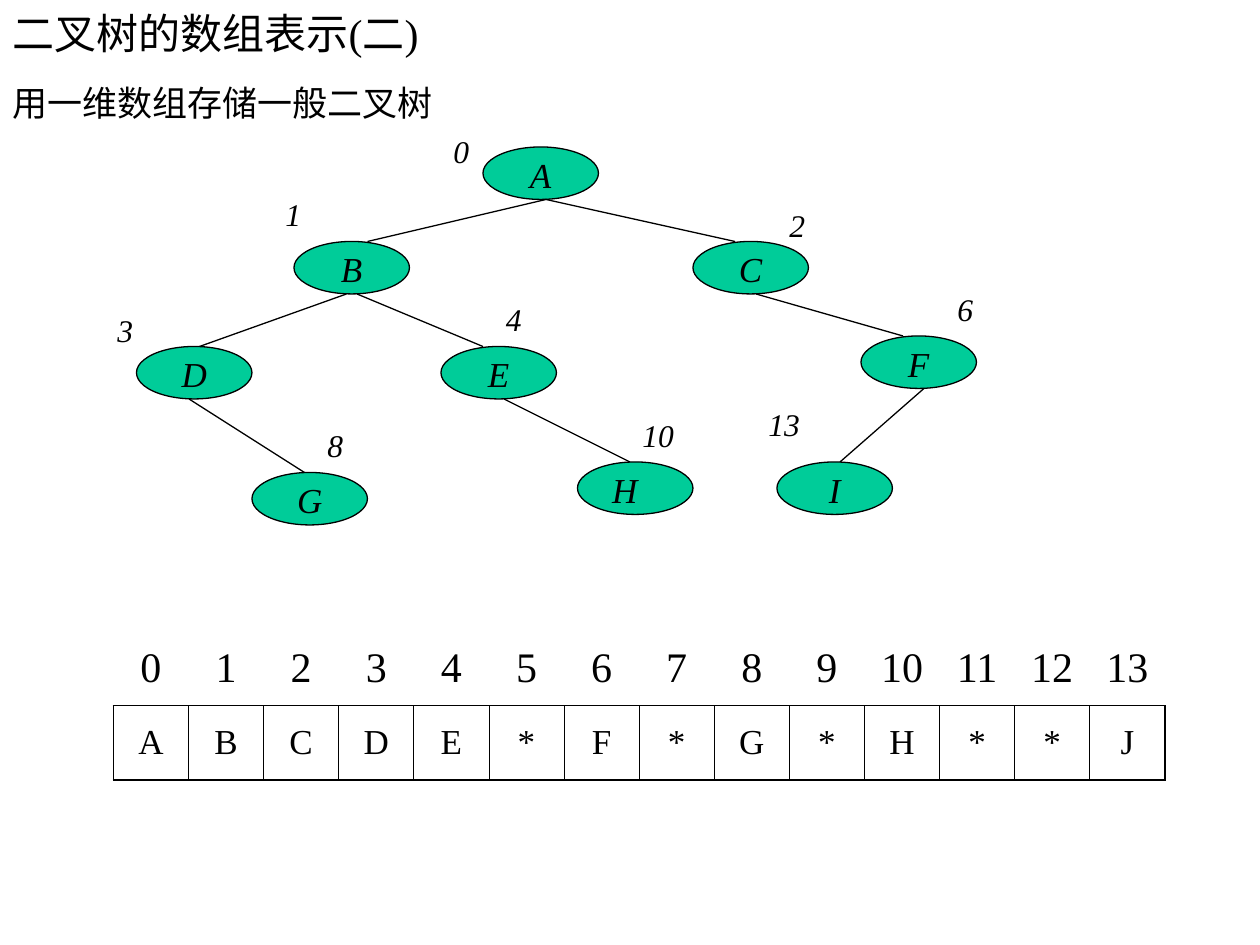
from dataclasses import dataclass

from lxml.etree import SubElement
from pptx import Presentation
from pptx.dml.color import RGBColor
from pptx.enum.shapes import MSO_CONNECTOR, MSO_SHAPE
from pptx.enum.text import MSO_ANCHOR, MSO_AUTO_SIZE, PP_ALIGN
from pptx.oxml.ns import qn
from pptx.util import Inches, Pt


@dataclass(frozen=True)
class Theme:
    font: str = "Times New Roman"
    ink: str = "000000"
    node: str = "00CC99"
    large: int = 24
    medium: int = 20
    small: int = 18
    line: float = 0.75
    thin: float = 0.45
    thick: float = 1.08


THEME = Theme()
NODE_SIZE = (11, 5)

# Tree nodes: letter, array index, node column and row, index column and row
NODES = [
    ("A", 0, (46, 14), (42, 12)),
    ("B", 1, (28, 23), (26, 18)),
    ("C", 2, (66, 23), (74, 19)),
    ("D", 3, (13, 33), (10, 29)),
    ("E", 4, (42, 33), (47, 28)),
    ("F", 6, (82, 32), (90, 27)),
    ("G", 8, (24, 45), (30, 40)),
    ("H", 10, (55, 44), (60, 39)),
    ("I", 13, (74, 44), (72, 38)),
]

# Branches from parent to child, in grid columns and rows
BRANCHES = [
    ((52, 19), (35, 23)),
    ((33, 28), (19, 33)),
    ((52, 19), (70, 23)),
    ((34, 28), (46, 33)),
    ((18, 38), (29, 45)),
    ((48, 38), (60, 44)),
    ((72, 28), (86, 32)),
    ((88, 37), (80, 44)),
]

STORAGE = "ABCDE*F*G*H**J"


def grid(steps):
    """Length of a number of grid steps, twelve to the inch."""
    return Inches(steps / 12)


def color(value):
    return RGBColor.from_string(value)


def write(frame, text, size, align=PP_ALIGN.LEFT, italic=False):
    frame.word_wrap = True
    para = frame.paragraphs[0]
    para.text = text
    para.alignment = align
    para.font.name = THEME.font
    para.font.size = Pt(size)
    para.font.bold = False
    para.font.italic = italic
    para.font.color.rgb = color(THEME.ink)


def add_label(page, text, place, width, height, size, align=PP_ALIGN.LEFT):
    column, row = place
    box = page.shapes.add_textbox(grid(column), grid(row), grid(width), Inches(height))
    write(box.text_frame, text, size, align, italic=True)
    box.text_frame.auto_size = MSO_AUTO_SIZE.SHAPE_TO_FIT_TEXT


def add_headings(page):
    title = page.shapes.title
    title.left, title.top, title.width, title.height = 0, 0, Inches(8.5), Inches(0.52)
    write(title.text_frame, "二叉树的数组表示(二)", THEME.large)
    title.text_frame.vertical_anchor = MSO_ANCHOR.MIDDLE
    subtitle = page.shapes.add_textbox(0, Inches(0.6), Inches(9.8), Inches(1.81))
    write(subtitle.text_frame, "用一维数组存储一般二叉树", THEME.medium)


def add_node(page, place):
    node = page.shapes.add_shape(MSO_SHAPE.OVAL, *map(grid, place + NODE_SIZE))
    node.shadow.inherit = False
    node.fill.solid()
    node.fill.fore_color.rgb = color(THEME.node)
    node.line.color.rgb = color(THEME.ink)
    node.line.width = Pt(THEME.line)


def add_branch(page, start, end):
    branch = page.shapes.add_connector(MSO_CONNECTOR.STRAIGHT, *map(grid, start + end))
    branch.line.color.rgb = color(THEME.ink)
    branch.line.width = Pt(THEME.line)
    SubElement(branch._element.spPr, qn("a:effectLst"))


def add_tree(page):
    for _, _, place, _ in NODES:
        add_node(page, place)
    for letter, _, (column, row), _ in NODES:
        inset = 1 if letter == "H" else 2
        add_label(page, letter, (column + inset, row), 7, 0.44, THEME.medium, PP_ALIGN.CENTER)
    for _, index, _, place in NODES:
        add_label(page, str(index), place, 5 if index < 10 else 6, 0.4, THEME.small)
    for start, end in BRANCHES:
        add_branch(page, start, end)


def set_borders(cell, widths):
    """Draw left, right, top and bottom borders; zero means no border."""
    properties = cell._tc.get_or_add_tcPr()
    for side, width in zip("LRTB", widths):
        border = SubElement(properties, qn(f"a:ln{side}"), w=str(int(Pt(width))))
        if width:
            fill = SubElement(border, qn("a:solidFill"))
            SubElement(fill, qn("a:srgbClr"), val=THEME.ink)
        else:
            SubElement(border, qn("a:noFill"))


def fill_cell(cell, text, size, borders):
    write(cell.text_frame, text, size, PP_ALIGN.CENTER)
    cell.vertical_anchor = MSO_ANCHOR.MIDDLE
    set_borders(cell, borders)
    cell.fill.background()


def add_array(page):
    count = len(STORAGE)
    frame = page.shapes.add_table(
        2, count, Inches(0.9), Inches(5.01), Inches(8.35), Inches(1.18))
    table = frame.table
    table.first_row = table.horz_banding = False
    thin, thick = THEME.thin, THEME.thick
    for index, value in enumerate(STORAGE):
        left = thick if index == 0 else thin
        right = thick if index == count - 1 else thin
        fill_cell(table.cell(0, index), str(index), THEME.large, (0, 0, 0, thin))
        fill_cell(table.cell(1, index), value, THEME.medium, (left, right, thin, thick))


def main():
    deck = Presentation()
    deck.slide_width, deck.slide_height = Inches(10), Inches(7.5)
    page = deck.slides.add_slide(deck.slide_layouts.get_by_name("Title Only"))
    add_headings(page)
    add_tree(page)
    add_array(page)
    deck.save("out.pptx")


if __name__ == "__main__":
    main()
